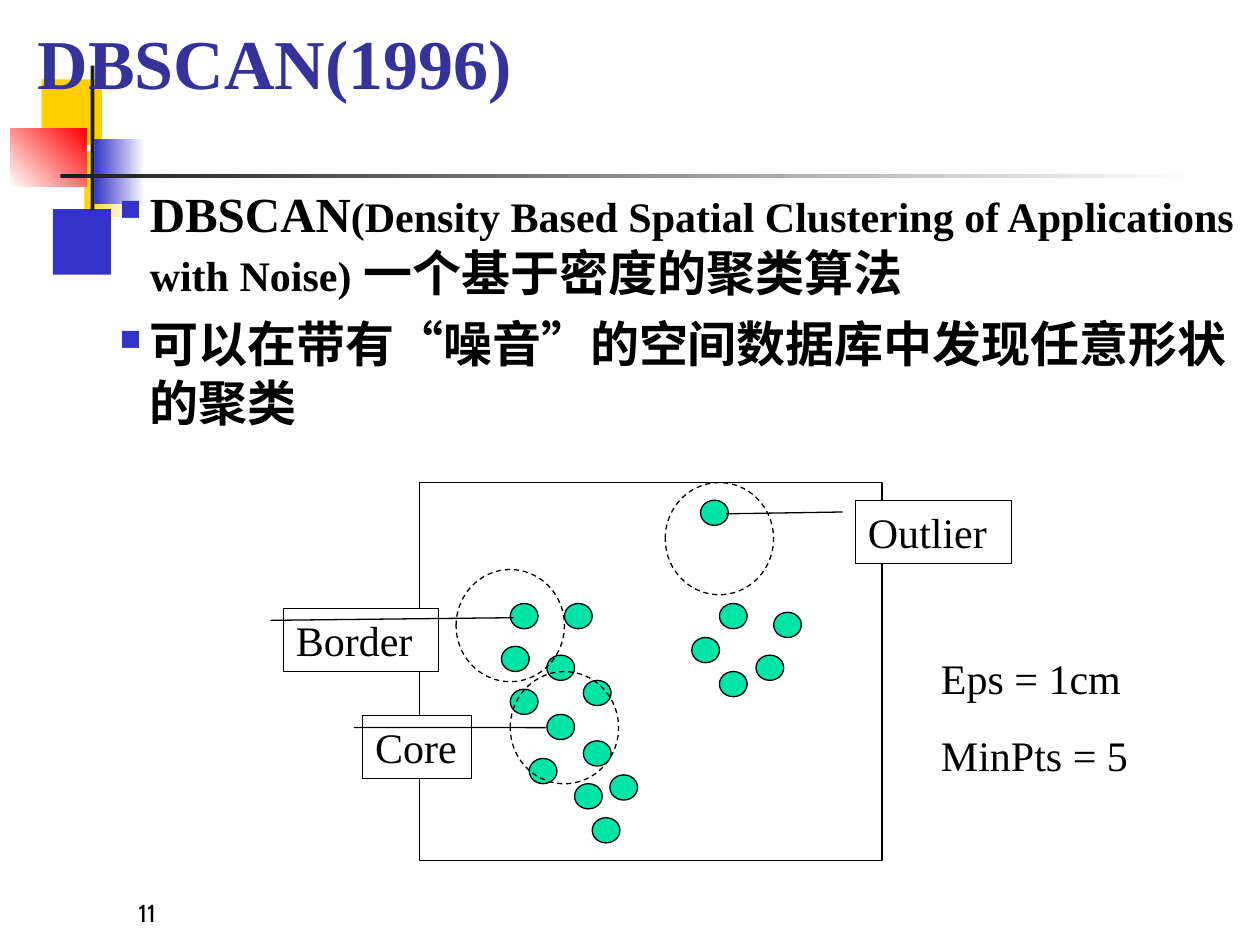
from dataclasses import dataclass

from lxml.etree import SubElement
from pptx import Presentation
from pptx.dml.color import RGBColor
from pptx.enum.dml import MSO_LINE
from pptx.enum.shapes import MSO_SHAPE
from pptx.enum.text import MSO_ANCHOR, PP_ALIGN
from pptx.oxml.ns import qn
from pptx.util import Inches, Pt


@dataclass(frozen=True)
class Theme:
    font: str = "Times New Roman"
    number_font: str = "Cabin"
    title: str = "333399"
    ink: str = "000000"
    dark: str = "1C1C1C"
    white: str = "FFFFFF"
    yellow: str = "FFCF01"
    blue: str = "3333CC"
    red: str = "FF0000"
    point: str = "00E4A8"
    title_size: int = 40
    body_size: int = 28
    label_size: int = 24
    number_size: int = 14
    line_width: float = 0.75


T = Theme()

# Decoration: left, top, width, height, colours, gradient angle
DECOR = [
    (0.33, 0.63, 0.48, 0.52, [T.yellow], 0),
    (0.67, 1.2, 0.36, 0.52, [T.yellow, T.white], 0),
    (0.42, 1.66, 0.46, 0.52, [T.blue], 0),
    (0.75, 1.1, 0.4, 0.52, [T.blue, T.white], 0),
    (0.08, 1.02, 0.61, 0.46, [T.white, T.red], 45),
    (0.72, 0.52, 0.03, 1.15, [T.dark], 0),
    (0.48, 1.38, 9, 0.03, [T.dark, T.white], 0),
]

# Data points (left, top) by cluster
LEFT_CLUSTER = [(4.05, 4.79), (3.98, 5.13), (4.34, 5.2), (4.48, 4.79),
                (4.63, 5.4), (4.05, 5.47), (4.34, 5.67), (4.2, 6.02),
                (4.56, 6.22), (4.7, 6.49), (4.63, 5.88), (4.84, 6.15)]
RIGHT_CLUSTER = [(5.71, 4.79), (5.49, 5.06), (6, 5.2), (6.14, 4.86),
                 (5.71, 5.33)]
OUTLIER = [(5.56, 3.97)]
POINT_SIZE = (0.22, 0.2)

# Eps neighbourhoods around the border, core and outlier points
NEIGHBOURHOODS = [(3.62, 4.52), (4.05, 5.33), (5.28, 3.83)]
NEIGHBOURHOOD_SIZE = (0.86, 0.89)

# Callouts: text, left, top, width, leader end (y, x) relative to the box
CALLOUTS = [
    ("Core", 2.88, 5.68, 0.86, (0.191, 1.687)),
    ("Border", 2.25, 4.83, 1.23, (0.146, 1.485)),
    ("Outlier", 6.79, 3.97, 1.24, (0.217, -0.828)),
]


def rgb(color):
    return RGBColor.from_string(color)


def add_run(p, text, size, color=T.ink, bold=False, font=T.font):
    r = p.add_run()
    r.text = text
    r.font.name, r.font.size, r.font.bold = font, Pt(size), bold
    r.font.color.rgb = rgb(color)


def add_bullet(p):
    p.space_before = Pt(7)
    pPr = p._p.get_or_add_pPr()
    pPr.set("marL", str(Inches(0.24)))
    pPr.set("indent", str(Inches(-0.24)))
    color = SubElement(pPr, qn("a:buClr"))
    SubElement(color, qn("a:srgbClr"), val=T.blue)
    SubElement(pPr, qn("a:buSzPct"), val="60000")
    SubElement(pPr, qn("a:buChar"), char="■")


def add_text_box(s, x, y, w, h, anchor=MSO_ANCHOR.TOP):
    tf = s.shapes.add_textbox(Inches(x), Inches(y), Inches(w), Inches(h)).text_frame
    tf.word_wrap = True
    tf.vertical_anchor = anchor
    return tf


def add_figure(s, kind, x, y, w, h, fill=None, outlined=True, dashed=False):
    sp = s.shapes.add_shape(kind, Inches(x), Inches(y), Inches(w), Inches(h))
    sp.shadow.inherit = False
    if fill:
        sp.fill.solid()
        sp.fill.fore_color.rgb = rgb(fill)
    else:
        sp.fill.background()
    if outlined:
        sp.line.color.rgb = rgb(T.ink)
        sp.line.width = Pt(T.line_width)
        if dashed:
            sp.line.dash_style = MSO_LINE.DASH
    else:
        sp.line.fill.background()
    return sp


def add_block(s, x, y, w, h, colors, angle):
    sp = add_figure(s, MSO_SHAPE.RECTANGLE, x, y, w, h, colors[0], outlined=False)
    if len(colors) > 1:
        sp.fill.gradient()
        sp.fill.gradient_angle = angle
        for i, (stop, color) in enumerate(zip(sp.fill.gradient_stops, colors)):
            stop.position = i
            stop.color.rgb = rgb(color)


def add_callout(s, text, x, y, w, leader_end):
    sp = add_figure(s, MSO_SHAPE.LINE_CALLOUT_1, x, y, w, 0.5, T.white)
    for i, value in enumerate((0.188, -0.083) + leader_end):
        sp.adjustments[i] = value
    tf = sp.text_frame
    tf.word_wrap = True
    tf.vertical_anchor = MSO_ANCHOR.TOP
    p = tf.paragraphs[0]
    p.alignment = PP_ALIGN.LEFT
    add_run(p, text, T.label_size)


def add_body(s):
    tf = add_text_box(s, 0.85, 1.41, 9.15, 2.35)
    p = tf.paragraphs[0]
    add_bullet(p)
    add_run(p, "DBSCAN", T.body_size, bold=True)
    add_run(p, "(Density Based Spatial Clustering of Applications with Noise)",
            T.label_size, bold=True)
    add_run(p, " 一个基于密度的聚类算法", T.body_size, bold=True)
    p = tf.add_paragraph()
    add_bullet(p)
    add_run(p, "可以在带有“噪音”的空间数据库中发现任意形状的聚类",
            T.body_size, bold=True)


def add_diagram(s):
    for x, y in LEFT_CLUSTER + RIGHT_CLUSTER + OUTLIER:
        add_figure(s, MSO_SHAPE.OVAL, x, y, *POINT_SIZE, fill=T.point)
    add_figure(s, MSO_SHAPE.RECTANGLE, 3.33, 3.83, 3.67, 3)
    for x, y in NEIGHBOURHOODS:
        add_figure(s, MSO_SHAPE.OVAL, x, y, *NEIGHBOURHOOD_SIZE, dashed=True)
    for callout in CALLOUTS:
        add_callout(s, *callout)

    # Parameters
    tf = add_text_box(s, 7.37, 5.13, 1.8, 1.11)
    for i, text in enumerate(("Eps = 1cm", "MinPts = 5")):
        p = tf.add_paragraph() if i else tf.paragraphs[0]
        p.space_before = Pt(15)
        add_run(p, text, T.label_size)


def main():
    prs = Presentation()
    prs.slide_width, prs.slide_height = Inches(10), Inches(7.5)
    s = prs.slides.add_slide(prs.slide_layouts[6])

    # Corner decoration and rule
    for block in DECOR:
        add_block(s, *block)

    # Slide number and title
    tf = add_text_box(s, 1, 7.08, 2.08, 0.33, MSO_ANCHOR.BOTTOM)
    add_run(tf.paragraphs[0], "11", T.number_size, font=T.number_font)
    tf = add_text_box(s, 0.2, 0.21, 8.42, 0.66, MSO_ANCHOR.BOTTOM)
    add_run(tf.paragraphs[0], "DBSCAN(1996)", T.title_size, T.title, bold=True)

    add_body(s)
    add_diagram(s)
    prs.save("out.pptx")


if __name__ == "__main__":
    main()
